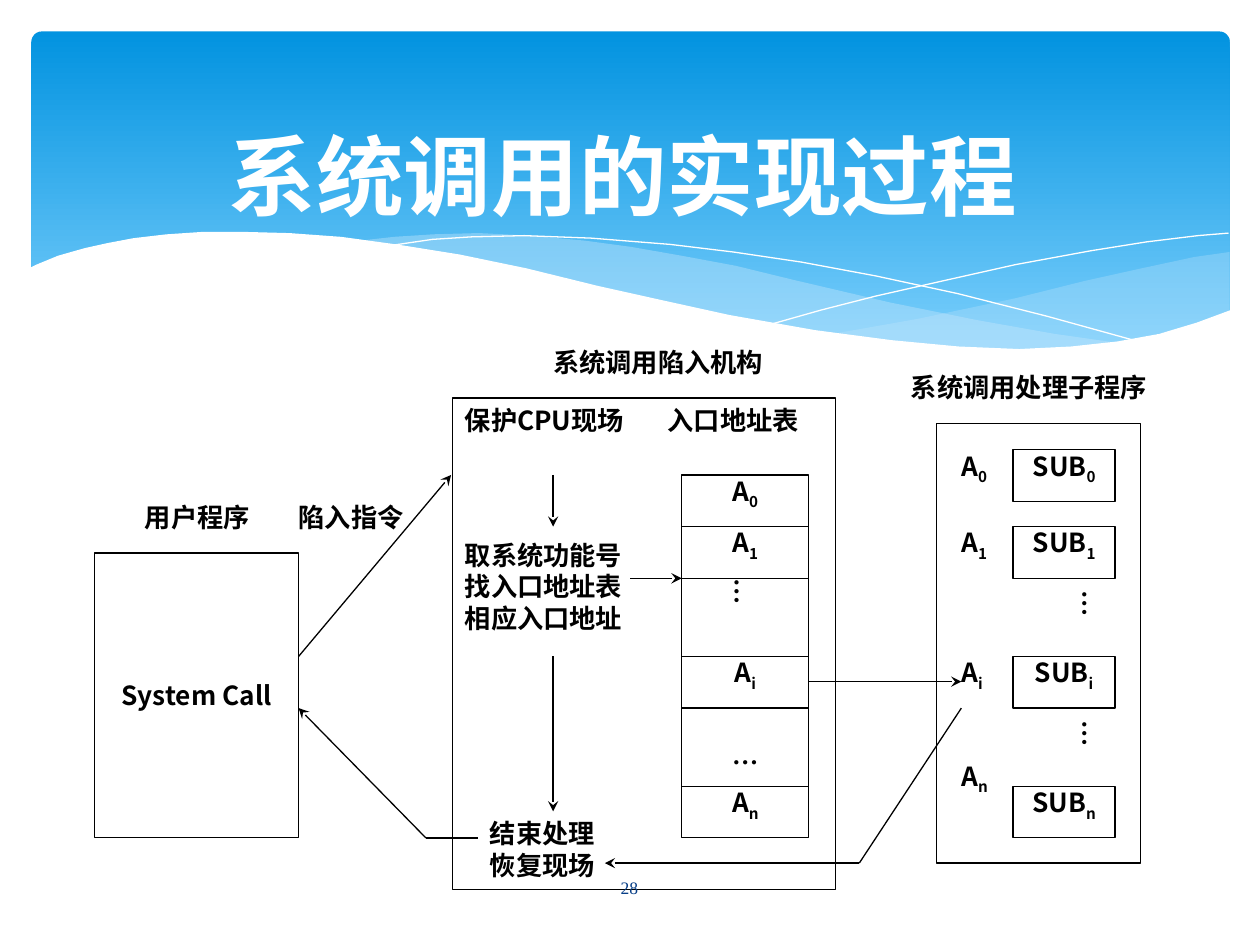
from lxml import etree
from pptx import Presentation
from pptx.dml.color import RGBColor
from pptx.enum.shapes import MSO_CONNECTOR, MSO_SHAPE
from pptx.enum.text import MSO_ANCHOR, PP_ALIGN
from pptx.oxml.ns import qn
from pptx.util import Inches, Pt

RECT, ROUNDED = MSO_SHAPE.RECTANGLE, MSO_SHAPE.ROUNDED_RECTANGLE
STRAIGHT = MSO_CONNECTOR.STRAIGHT
LEFT, CENTER = PP_ALIGN.LEFT, PP_ALIGN.CENTER
TOP, MIDDLE = MSO_ANCHOR.TOP, MSO_ANCHOR.MIDDLE

COLORS = {"sky": "0293E0", "light": "83D3FE", "wave": "C6E7FC",
          "white": "FFFFFF", "ink": "000000", "number": "073E87"}
SANS, SERIF = "Noto Sans CJK SC", "Times New Roman"
ROW = 0.41   # height of a labelled row
GAP = 0.62   # height of a row of dots

# Outlines of the banner waves, in inches on the slide
RIGHT_WAVE = [(9.76, 2), (9.48, 2.04), (9.06, 2.13), (8.61, 2.23), (8.05, 2.37),
              (7.29, 2.53), (6.61, 2.65), (7.05, 2.71), (7.45, 2.75), (7.81, 2.77),
              (8.24, 2.77), (8.63, 2.75), (8.97, 2.7), (9.28, 2.63), (9.49, 2.57),
              (9.76, 2.47)]
LONG_WAVE = [(8.93, 2.73), (8.37, 2.65), (7.75, 2.54), (7.06, 2.4), (6.29, 2.22),
             (5.84, 2.11), (5.41, 2.03), (5.01, 1.96), (4.64, 1.91), (4.2, 1.87),
             (3.8, 1.85), (3.44, 1.86), (3.13, 1.88), (2.86, 1.91), (3.23, 1.96),
             (3.62, 2.03), (4.04, 2.11), (4.49, 2.22), (5.3, 2.4), (6.01, 2.55),
             (6.65, 2.66), (7.22, 2.74), (7.73, 2.78), (8.18, 2.79), (8.57, 2.77)]
FALLING_CURVE = [(3.09, 1.95), (3.43, 1.9), (3.74, 1.88), (4.16, 1.87), (4.69, 1.89),
                 (5.32, 1.94), (5.82, 2), (6.36, 2.08), (6.95, 2.19), (7.6, 2.33),
                 (8.31, 2.51), (9.07, 2.72)]
RISING_CURVE = [(6.13, 2.57), (6.52, 2.46), (6.95, 2.35), (7.48, 2.23), (8.06, 2.1),
                (8.66, 1.99), (9.1, 1.92), (9.51, 1.87), (9.75, 1.85)]
WHITE_WAVE = [(9.77, 2.46), (9.5, 2.56), (9.2, 2.65), (8.87, 2.71), (8.5, 2.75),
              (8.09, 2.77), (7.61, 2.75), (7.08, 2.7), (6.47, 2.62), (5.79, 2.5),
              (5.29, 2.39), (4.75, 2.27), (4.18, 2.13), (3.65, 2.02), (3.15, 1.94),
              (2.71, 1.88), (2.3, 1.85), (1.93, 1.84), (1.61, 1.84), (1.32, 1.86),
              (1.06, 1.89), (0.85, 1.93), (0.67, 1.97), (0.46, 2.03), (0.29, 2.1),
              (0.23, 2.13), (0.23, 3.29), (9.77, 3.29)]


def rgb(name):
    return RGBColor.from_string(COLORS[name])


def style(paragraph, size=15, font=SANS, color="ink", bold=True, align=LEFT):
    paragraph.alignment = align
    paragraph.font.size, paragraph.font.bold = Pt(size), bold
    paragraph.font.name = font
    paragraph.font.color.rgb = rgb(color)
    props = paragraph._p.pPr.find(qn("a:defRPr"))
    etree.SubElement(props, qn("a:ea"), typeface=SANS)


def write(shape, lines, inset=(0, 0), anchor=TOP, vertical=False, **look):
    """Fill a shape with lines; an underscore in a line starts a subscript."""
    frame = shape.text_frame
    frame.word_wrap, frame.vertical_anchor = True, anchor
    frame.margin_left = frame.margin_right = Inches(inset[0])
    frame.margin_top = frame.margin_bottom = Inches(inset[1])
    if vertical:
        frame._txBody.bodyPr.set("vert", "eaVert")
    for i, line in enumerate(lines):
        paragraph = frame.add_paragraph() if i else frame.paragraphs[0]
        base, _, subscript = line.partition("_")
        paragraph.add_run().text = base
        if subscript:
            low = paragraph.add_run()
            low.text = subscript
            low.font._element.set("baseline", "-25000")
        style(paragraph, **look)


def label(slide, x, y, w, h, *lines, **look):
    write(slide.shapes.add_textbox(Inches(x), Inches(y), Inches(w), Inches(h)), lines, **look)


def box(slide, x, y, w, h, *lines, **look):
    frame = slide.shapes.add_shape(RECT, Inches(x), Inches(y), Inches(w), Inches(h))
    frame.shadow.inherit = False
    frame.fill.background()
    frame.line.color.rgb, frame.line.width = rgb("ink"), Pt(0.75)
    if lines:
        write(frame, lines, align=CENTER, **look)


def path_line(slide, *points, arrow=True):
    """Join the points with straight lines; the last one carries the arrowhead."""
    for start, end in zip(points, points[1:]):
        line = slide.shapes.add_connector(STRAIGHT, *map(Inches, start + end))
        line.line.color.rgb, line.line.width = rgb("ink"), Pt(0.75)
        if arrow and end == points[-1]:
            etree.SubElement(line.line._get_or_add_ln(), qn("a:tailEnd"), type="stealth")
        etree.SubElement(line._element.spPr, qn("a:effectLst"))


def wave(slide, points, fill=None, alpha=100):
    corners = [(Inches(x), Inches(y)) for x, y in points]
    builder = slide.shapes.build_freeform(*corners[0])
    builder.add_line_segments(corners[1:], close=fill is not None)
    shape = builder.convert_to_shape()
    shape.shadow.inherit = False
    if fill:
        shape.fill.solid()
        shape.fill.fore_color.rgb = rgb(fill)
        color = shape._element.spPr.find(".//" + qn("a:srgbClr"))
        etree.SubElement(color, qn("a:alpha"), val=str(alpha * 1000))
        shape.line.fill.background()
    else:
        shape.fill.background()
        shape.line.color.rgb, shape.line.width = rgb("white"), Pt(0)


def banner(slide, x, y, w, h):
    sky = slide.shapes.add_shape(ROUNDED, Inches(x), Inches(y), Inches(w), Inches(h))
    sky.adjustments[0] = 0.03
    sky.shadow.inherit = False
    sky.line.fill.background()
    sky.fill.gradient()
    sky.fill.gradient_angle = 270
    for stop, name in zip(sky.fill.gradient_stops, ("sky", "light")):
        stop.color.rgb = rgb(name)
    wave(slide, RIGHT_WAVE, "wave", 29)
    wave(slide, LONG_WAVE, "wave", 40)
    wave(slide, FALLING_CURVE)
    wave(slide, RISING_CURVE)
    wave(slide, WHITE_WAVE, "white")


def heading(slide, x, y, w, h):
    title = slide.shapes.title
    title.left, title.top, title.width, title.height = map(Inches, (x, y, w, h))
    write(title, ["系统调用的实现过程"], inset=(0.1, 0.05), anchor=MIDDLE,
          size=50, font=SERIF, color="white", align=CENTER)
    slide.shapes._spTree.append(title._element)  # in front of the banner


def user_program(slide, x, y, w, h):
    box(slide, x, y, w, h, "System Call", anchor=MIDDLE)
    label(slide, x + 0.4, y - ROW, 1.01, ROW, "用户程序")
    label(slide, x + w, y - ROW, 1.01, ROW, "陷入指令")


def address_table(slide, x, y, w):
    for entry in ("A_0", "A_1", "⋮", "A_i", "…", "A_n"):
        height = ROW if "_" in entry else GAP
        if entry == "⋮":
            box(slide, x, y, w, height, "…", anchor=MIDDLE, vertical=True, font=SERIF)
        elif entry == "…":
            box(slide, x, y, w, height, entry, inset=(0, 0.24), font=SERIF)
        else:
            box(slide, x, y, w, height, entry)
        y += height


def trap_mechanism(slide, x, y, w, h):
    pad = (0.1, 0.05)
    box(slide, x, y, w, h)
    label(slide, x + 0.8, y - ROW, 1.82, ROW, "系统调用陷入机构")
    label(slide, x, y, 1.62, GAP, "保护CPU现场", inset=pad)
    label(slide, x + 1.61, y, 1.42, GAP, "入口地址表", inset=pad)
    label(slide, x, y + 1.07, 1.62, 1.18,
          "取系统功能号", "找入口地址表", "相应入口地址", inset=pad)
    label(slide, x + 0.2, y + 3.28, 1.21, GAP, "结束处理", "恢复现场", inset=pad)
    address_table(slide, x + 1.82, y + 0.61, 1.01)
    middle = x + 0.8
    path_line(slide, (middle, y + 0.61), (middle, y + 1.02))
    path_line(slide, (middle, y + 2.05), (middle, y + 3.28))
    path_line(slide, (x + 1.41, y + 1.43), (x + 1.82, y + 1.43))


def subroutines(slide, x, y, w, h):
    box(slide, x, y, w, h)
    label(slide, x - 0.2, y - ROW, 2.02, ROW, "系统调用处理子程序")
    for index, address_top, sub_top in (("0", 0.21, 0.21), ("1", 0.82, 0.82),
                                        ("i", 1.85, 1.85), ("n", 2.67, 2.88)):
        label(slide, x + 0.2, y + address_top, 0.4, ROW, f"A_{index}")
        box(slide, x + 0.61, y + sub_top, 0.81, ROW, f"SUB_{index}")
    for dots_top in (1.23, 2.26):
        label(slide, x + 0.61, y + dots_top, 0.81, GAP, "…",
              inset=(0.05, 0.1), vertical=True, font=SERIF)


def control_flow(slide):
    path_line(slide, (2.37, 5.21), (3.58, 3.77))
    path_line(slide, (6.42, 5.41), (7.63, 5.41))
    path_line(slide, (7.63, 5.62), (6.82, 6.85), (4.8, 6.85))
    path_line(slide, (3.79, 6.65), (3.38, 6.65), (2.37, 5.62))


def main():
    deck = Presentation()
    deck.slide_width, deck.slide_height = Inches(10), Inches(7.5)
    slide = deck.slides.add_slide(deck.slide_layouts[5])
    banner(slide, 0.25, 0.25, 9.51, 2.7)
    heading(slide, 0.48, 0.92, 8.93, 0.93)
    user_program(slide, 0.75, 4.39, 1.62, 2.26)
    trap_mechanism(slide, 3.59, 3.16, 3.04, 3.9)
    subroutines(slide, 7.43, 3.36, 1.62, 3.49)
    control_flow(slide)
    # Page number
    label(slide, 4.36, 6.84, 1.27, 0.4, "28", inset=(0.1, 0.05), anchor=MIDDLE,
          size=10, font=SERIF, color="number", bold=False, align=CENTER)
    deck.save("out.pptx")


if __name__ == "__main__":
    main()
